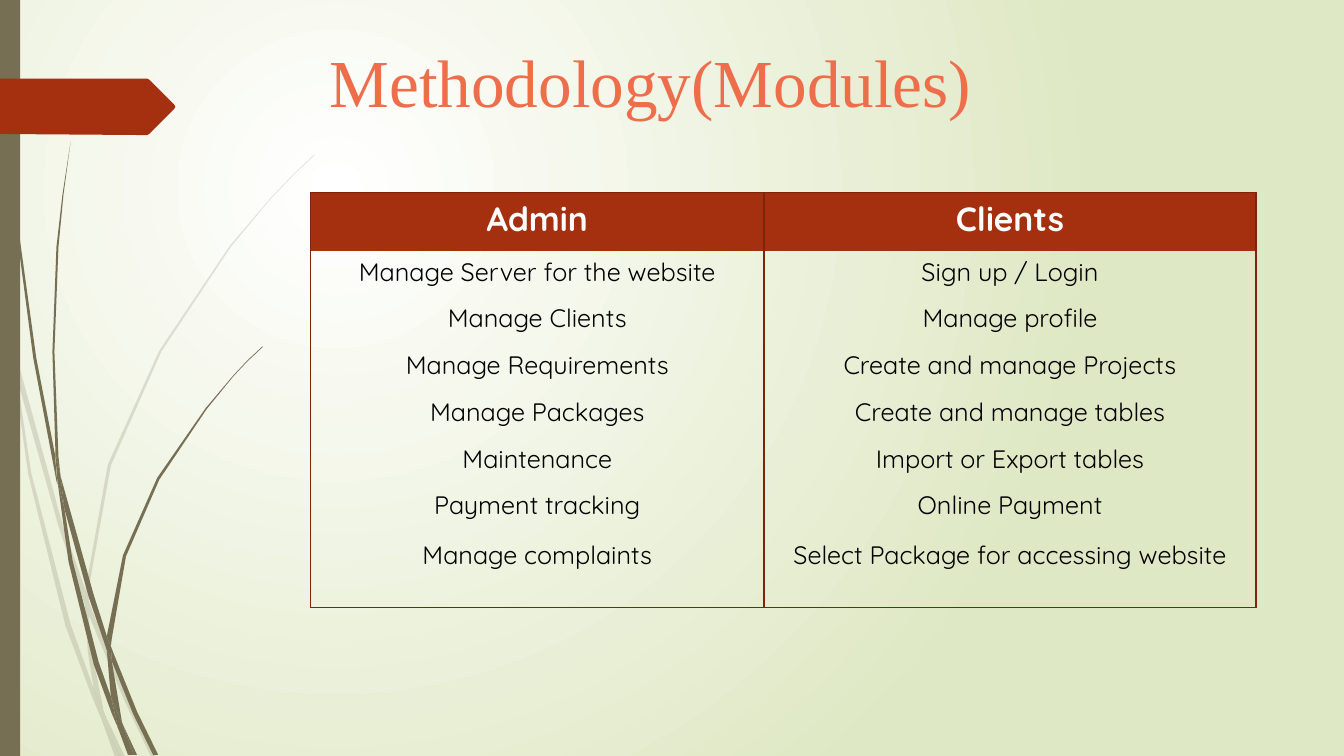
from pptx import Presentation
from pptx import util as u
from pptx.dml.color import RGBColor
from pptx.enum import shapes, text
from pptx.oxml import parse_xml
from pptx.oxml.ns import qn

SCALE = 9144
NAMESPACE = 'xmlns:a="http://schemas.openxmlformats.org/drawingml/2006/main"'
NO_GRID_STYLE = "{2D5ABB26-0587-4C30-8999-92F81FD0307C}"

WHITE = RGBColor(0xFF, 0xFF, 0xFF)
BLACK = RGBColor(0x00, 0x00, 0x00)
PALE_GREEN = RGBColor(0xDF, 0xE8, 0xC4)
OLIVE = RGBColor(0x76, 0x6F, 0x54)
RUST = RGBColor(0xA5, 0x30, 0x10)
DARK_RUST = RGBColor(0x7C, 0x24, 0x0C)
CORAL = RGBColor(0xEE, 0x6E, 0x4B)

PALE_GRASS = [
    [(11, 350), (9, 322), (0, 282), (0, 299), (10, 344)],
    [(58, 522), (84, 599), (85, 586), (62, 520), (14, 345), (17, 376)],
    [(92, 607), (88, 596), (88, 610), (123, 694), (150, 751), (155, 751), (127, 692)],
    [(119, 751), (124, 751), (105, 711)],
    [(93, 683), (70, 619), (31, 469), (17, 376), (11, 350), (28, 470), (65, 621),
     (92, 693), (101, 714), (99, 707)],
    [(84, 599), (87, 646), (93, 683), (96, 692), (105, 711), (103, 706), (91, 646),
     (88, 610), (88, 608)],
    [(88, 584), (110, 462), (160, 349), (229, 245), (268, 198), (290, 175), (312, 154),
     (312, 153), (289, 175), (268, 197), (228, 244), (158, 348), (107, 461), (85, 584),
     (85, 586), (88, 596)],
    [(101, 714), (114, 751), (119, 751)],
    [(88, 608), (88, 610), (88, 596), (85, 586), (84, 599)],
    [(96, 692), (93, 683), (99, 707), (101, 714), (119, 751), (105, 711)],
]
DARK_GRASS = [
    [(7, 110), (17, 233), (33, 355), (56, 477), (57, 481), (55, 457), (55, 453),
     (36, 355), (19, 232), (8, 109), (5, 48), (4, 0), (3, 0), (4, 48)],
    [(88, 592), (106, 645), (106, 633), (106, 631), (93, 590), (60, 472), (64, 505)],
    [(113, 649), (110, 641), (111, 656), (132, 708), (152, 749), (157, 749), (136, 706)],
    [(110, 691), (98, 657), (72, 556), (64, 505), (57, 477), (68, 557), (93, 659),
     (111, 708), (117, 722), (116, 717)],
    [(60, 472), (58, 453), (54, 349), (58, 245), (63, 193), (70, 141), (62, 193),
     (56, 245), (52, 349), (55, 449)],
    [(133, 749), (136, 749), (122, 719)],
    [(57, 477), (64, 505), (60, 472), (55, 449), (55, 453)],
    [(111, 633), (125, 552), (158, 476), (205, 406), (231, 374), (245, 359), (261, 344),
     (260, 344), (245, 358), (231, 373), (204, 405), (156, 474), (122, 551), (106, 631),
     (110, 641)],
    [(117, 722), (127, 749), (131, 749)],
    [(106, 645), (110, 691), (116, 706), (122, 719), (121, 716), (111, 656), (109, 651)],
    [(106, 645), (109, 651), (111, 656), (110, 641), (106, 631), (106, 633)],
    [(116, 706), (110, 691), (116, 717), (117, 722), (130, 749), (133, 749), (122, 719)],
]
TAG = [(173, 108), (148, 133), (146, 134), (136, 134), (0, 133), (0, 78), (136, 78),
       (146, 78), (148, 79), (173, 104), (174, 106)]
MODULES = [
    ("Admin", "Clients"),
    ("Manage Server for the website", "Sign up / Login"),
    ("Manage Clients", "Manage profile"),
    ("Manage Requirements", "Create and manage Projects"),
    ("Manage Packages", "Create and manage tables"),
    ("Maintenance", "Import or Export tables"),
    ("Payment tracking", "Online Payment"),
    ("Manage complaints", "Select Package for accessing website"),
]


def px(value):
    """Turn px, a hundredth of an inch each, into EMU."""
    return u.Emu(round(value * SCALE))


class SlideBuilder:
    """Holds the style and the current slide."""

    def __init__(self, presentation, title_font, table_font):
        self.slide = presentation.slides.add_slide(presentation.slide_layouts[6])
        self.title_font = title_font
        self.table_font = table_font

    def background(self, *colors):
        """Fill the background with a radial gradient."""
        fill = self.slide.background.fill
        fill.gradient()
        for stop, color in zip(fill.gradient_stops, colors):
            stop.color.rgb = color
        gradient = self.slide.element.find(".//" + qn("a:gradFill"))
        gradient.replace(gradient.find(qn("a:lin")), parse_xml(
            f'<a:path {NAMESPACE} path="circle"><a:fillToRect l="50000" '
            't="50000" r="100000" b="100000"/></a:path>'))

    def paint(self, shape, color):
        """Give a shape a plain fill without line or shadow."""
        shape.shadow.inherit = False
        shape.fill.solid()
        shape.fill.fore_color.rgb = color
        shape.line.fill.background()

    def outline(self, points, color, opacity=100):
        """Draw a closed outline through the points."""
        builder = self.slide.shapes.build_freeform(*points[0], scale=SCALE)
        builder.add_line_segments(points[1:])
        shape = builder.convert_to_shape()
        self.paint(shape, color)
        if opacity < 100:
            shape.element.find(".//" + qn("a:srgbClr")).append(
                parse_xml(f'<a:alpha {NAMESPACE} val="{opacity * 1000}"/>'))

    def rectangle(self, box, color):
        """Draw a rectangle."""
        kind = shapes.MSO_SHAPE.RECTANGLE
        self.paint(self.slide.shapes.add_shape(kind, *map(px, box)), color)

    def title(self, words, box):
        """Write the slide title."""
        frame = self.slide.shapes.add_textbox(*map(px, box)).text_frame
        frame.word_wrap = True
        frame.margin_left = frame.margin_right = 0
        frame.margin_top = frame.margin_bottom = 0
        paragraph = frame.paragraphs[0]
        paragraph.text = words
        paragraph.line_spacing = 0.95
        self.style(paragraph, self.title_font, 48, CORAL)

    def style(self, paragraph, name, size, color, bold=False):
        """Set the font of a paragraph."""
        font = paragraph.font
        font.name, font.size, font.bold = name, u.Pt(size), bold
        font.color.rgb = color

    def borders(self, cell, sides):
        """Line the named sides of a cell."""
        for side in sides:
            cell._tc.get_or_add_tcPr().append(parse_xml(
                f'<a:ln{side} {NAMESPACE} w="12700"><a:solidFill>'
                f'<a:srgbClr val="{DARK_RUST}"/></a:solidFill></a:ln{side}>'))

    def table(self, rows, left, top, widths, heights):
        """Draw a table with a filled header and an open body."""
        frame = self.slide.shapes.add_table(
            len(rows), len(widths), px(left), px(top),
            px(sum(widths)), px(sum(heights)))
        table = frame.table
        table.horz_banding = False
        frame.element.find(".//" + qn("a:tableStyleId")).text = NO_GRID_STYLE
        for column, width in zip(table.columns, widths):
            column.width = px(width)
        for index, (row, height, words) in enumerate(zip(table.rows, heights, rows)):
            row.height = px(height)
            header, last = index == 0, index == len(rows) - 1
            for cell, label in zip(row.cells, words):
                self.borders(cell, "LR" + "T" * header + "B" * last)
                if header:
                    cell.fill.solid()
                    cell.fill.fore_color.rgb = RUST
                else:
                    cell.fill.background()
                paragraph = cell.text_frame.paragraphs[0]
                paragraph.text = label
                paragraph.alignment = text.PP_ALIGN.CENTER
                self.style(paragraph, self.table_font, 24 if header else 18,
                           WHITE if header else BLACK, header)


def main():
    """Build the slide and save it."""
    presentation = Presentation()
    presentation.slide_width, presentation.slide_height = px(1333.33), px(750)
    builder = SlideBuilder(presentation, "Times New Roman", "Quicksand")
    builder.background(WHITE, PALE_GREEN)
    for grass, opacity in ((PALE_GRASS, 20), (DARK_GRASS, 100)):
        for piece in grass:
            builder.outline(piece, OLIVE, opacity)
    builder.rectangle((0, 0, 20, 750), OLIVE)
    builder.outline(TAG, RUST)
    builder.title("Methodology(Modules)", (327, 46, 723, 78))
    builder.table(MODULES, 308, 191, [450, 488], [58] + [46.4] * 5 + [49, 73])
    presentation.save("out.pptx")


if __name__ == "__main__":
    main()
